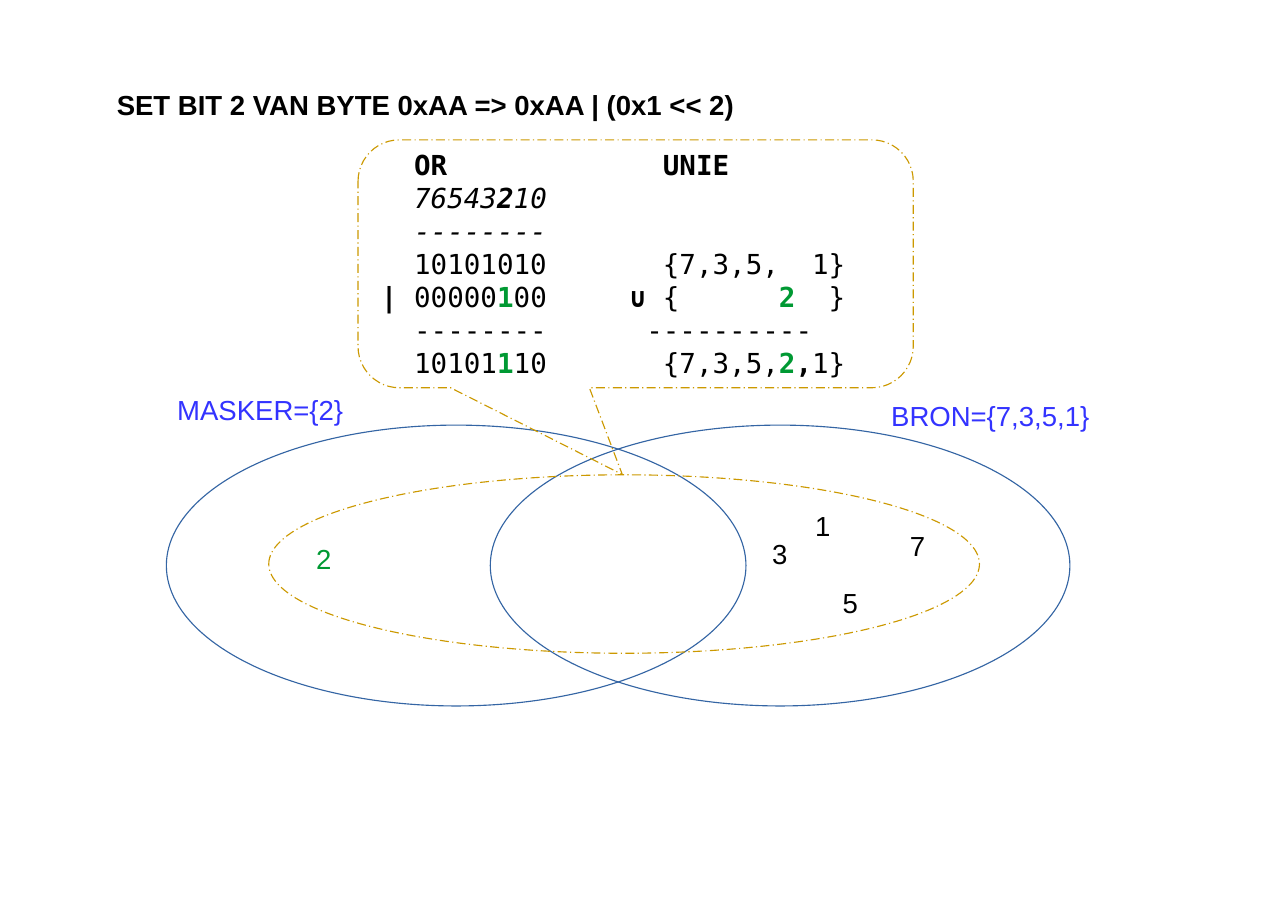
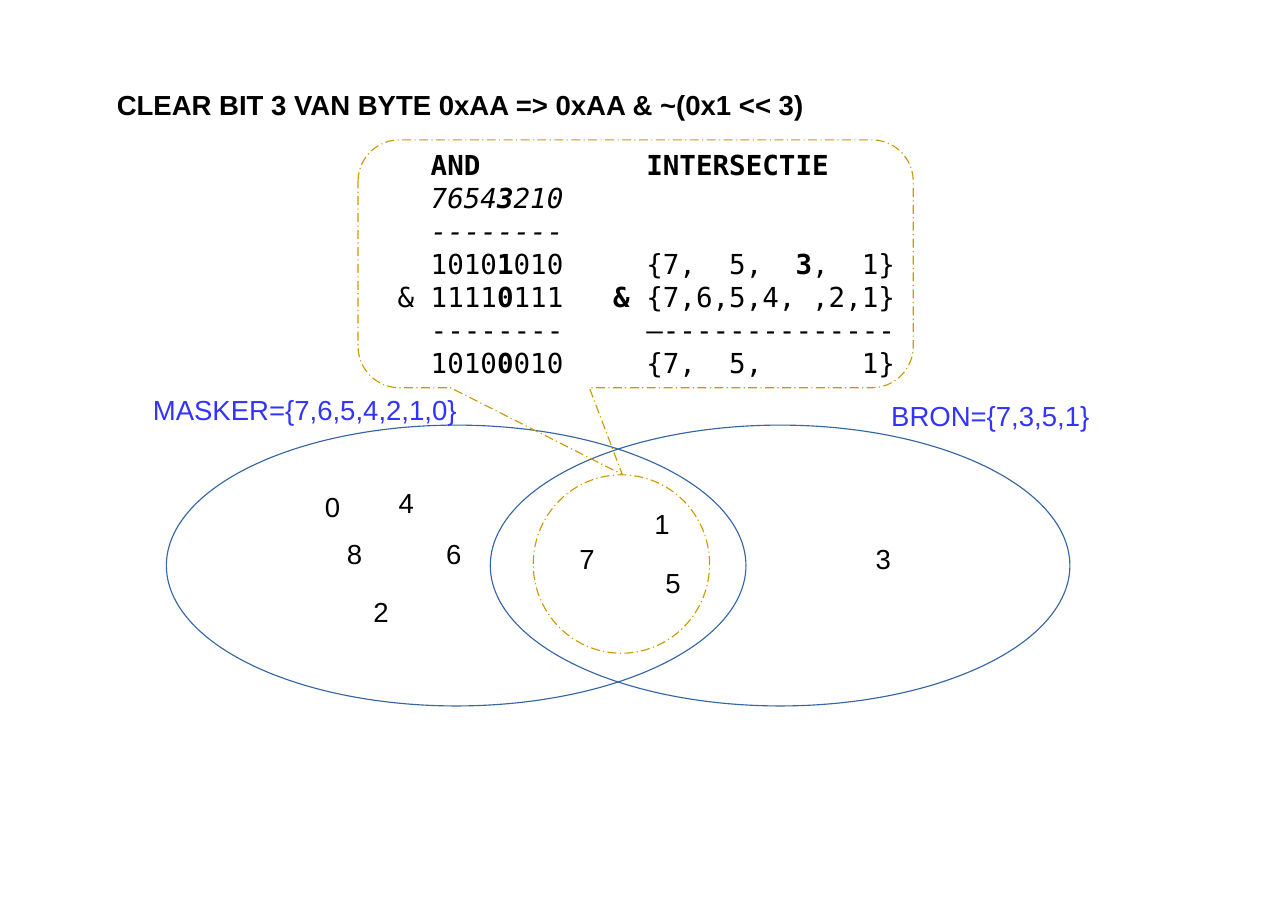
"""Two slides that set and clear a bit, each as a bit sum and as a set diagram."""
from lxml import etree
from pptx import Presentation
from pptx.dml.color import RGBColor
from pptx.enum.dml import MSO_LINE
from pptx.enum.shapes import MSO_SHAPE
from pptx.enum.text import MSO_ANCHOR, MSO_AUTO_SIZE, PP_ALIGN
from pptx.oxml.ns import qn
from pptx.util import Inches, Pt

OVAL = MSO_SHAPE.OVAL
CALLOUT = MSO_SHAPE.ROUNDED_RECTANGULAR_CALLOUT
DASH = MSO_LINE.LONG_DASH_DOT
TOP, MIDDLE = MSO_ANCHOR.TOP, MSO_ANCHOR.MIDDLE
LEFT = PP_ALIGN.LEFT
FIXED = MSO_AUTO_SIZE.NONE

HUES = {"ink": "000000", "green": "009933", "label": "3333FF",
        "set": "3465A4", "result": "CC9900"}
SANS = {"name": "Arial", "size": Pt(18)}
MONO = {"name": "DejaVu Sans Mono", "size": Pt(18)}
FRAME = {"word_wrap": True, "auto_size": FIXED, "vertical_anchor": TOP,
         "margin_left": Inches(0.1), "margin_right": Inches(0.1),
         "margin_top": Inches(0.05), "margin_bottom": Inches(0.05)}
CHAR = 0.602 * Pt(18)
SETS = (12.92, 38.07)

SLIDES = [
    {"title": "SET BIT 2 VAN BYTE 0xAA => 0xAA | (0x1 << 2)",
     "mask": ("MASKER={2}", 12.92),
     "result": (20.87, 55.18),
     "bit": "green",
     "sum": [
         {2: "*OR*", 17: "*UNIE*"},
         {2: "76543*2*10"},
         {2: "--------"},
         {2: "10101010", 17: "{7,3,5,", 26: "1}"},
         {0: "*|*", 2: "00000*1*00", 15: "*∪*", 17: "{", 24: "*2*", 27: "}"},
         {2: "--------", 16: "----------"},
         {2: "10101*1*10", 17: "{7,3,5,*2**,*1}"}],
     "items": [("5", 64.59, 63.72, "ink"), ("1", 62.45, 55.26, "ink"),
               ("2", 23.7, 58.89, "green"), ("7", 69.8, 57.44, "ink"),
               ("3", 59.11, 58.4, "ink")]},
    {"title": "CLEAR BIT 3 VAN BYTE 0xAA => 0xAA & ~(0x1 << 3)",
     "mask": ("MASKER={7,6,5,4,2,1,0}", 11.03),
     "result": (41.4, 13.69),
     "bit": "ink",
     "sum": [
         {3: "*AND*", 16: "*INTERSECTIE*"},
         {3: "7654*3*210"},
         {3: "--------"},
         {3: "1010*1*010", 16: "{7,", 21: "5,", 25: "*3*,", 29: "1}"},
         {1: "&", 3: "1111*0*111", 14: "*&*", 16: "{7,6,5,4, ,2,1}"},
         {3: "--------", 16: "–--------------"},
         {3: "1010*0*010", 16: "{7,", 21: "5,", 29: "1}"}],
     "items": [("5", 50.81, 61.55, "ink"), ("1", 49.96, 55.02, "ink"),
               ("3", 67.15, 58.89, "ink"), ("7", 44.14, 58.89, "ink"),
               ("2", 28.14, 64.69, "ink"), ("6", 33.79, 58.4, "ink"),
               ("8", 26.09, 58.4, "ink"), ("4", 30.11, 52.72, "ink"),
               ("0", 24.38, 53.2, "ink")]},
]

deck = Presentation()
deck.slide_width, deck.slide_height = Inches(11.69), Inches(8.27)


def area(left, top, width, height):
    """Turn percentages of the slide into lengths."""
    wide, high = deck.slide_width / 100, deck.slide_height / 100
    return [round(v) for v in (left * wide, top * high, width * wide, height * high)]


def style(part, form, hue=None):
    """Set attributes from a dict, and a font colour if one is named."""
    for key, value in form.items():
        setattr(part, key, value)
    if hue:
        part.color.rgb = RGBColor.from_string(HUES[hue])


for data in SLIDES:
    slide = deck.slides.add_slide(deck.slide_layouts[5])
    shapes = slide.shapes

    title = shapes.title
    title.left, title.top, title.width, title.height = area(8.21, 9.07, 58.17, 7.98)
    style(title.text_frame, FRAME)
    title.text_frame.text = data["title"]
    line = title.text_frame.paragraphs[0]
    line.alignment = LEFT
    style(line.runs[0].font, {**SANS, "bold": True}, "ink")

    start, width = data["result"]
    forms = [(OVAL, (left, 46.67, 45, 30.83), "set") for left in SETS]
    forms += [(OVAL, (start, 52.12, width, 19.59), "result"),
              (CALLOUT, (27.8, 15.36, 43.11, 27.21), "result")]
    for kind, place, hue in forms:
        shape = shapes.add_shape(kind, *area(*place))
        shape.shadow.inherit = False
        shape.fill.background()
        shape.line.color.rgb = RGBColor.from_string(HUES[hue])
        shape.line.width = 0
        if hue == "result":
            shape.line.dash_style = DASH

    for spot, value in enumerate((-0.024, 0.85, 0.167)):
        shape.adjustments[spot] = value
    frame = shape.text_frame
    style(frame, {**FRAME, "vertical_anchor": MIDDLE, "margin_right": 0})
    for row, cells in enumerate(data["sum"]):
        line = frame.paragraphs[0] if row == 0 else frame.add_paragraph()
        line.alignment = LEFT
        tabs = etree.SubElement(line._p.get_or_add_pPr(), qn("a:tabLst"))
        for col, text in cells.items():
            if col:
                etree.SubElement(tabs, qn("a:tab"), pos=str(round(col * CHAR)), algn="l")
                text = "\t" + text
            for turn, part in enumerate(text.split("*")):
                if part:
                    bold = turn % 2 == 1
                    hue = data["bit"] if bold and row > 2 and part.isdigit() else "ink"
                    run = line.add_run()
                    run.text = part
                    style(run.font, {**MONO, "bold": bold, "italic": row in (1, 2)}, hue)

    mask, left = data["mask"]
    notes = [(mask, (left, 42.56, 28, 5), "label"),
             ("BRON={7,3,5,1}", (68.35, 43.17, 20, 5), "label")]
    notes += [(text, (x, y, 5.13, 7), hue) for text, x, y, hue in data["items"]]
    for text, place, hue in notes:
        frame = shapes.add_textbox(*area(*place)).text_frame
        style(frame, FRAME)
        frame.text = text
        style(frame.paragraphs[0].runs[0].font, SANS, hue)

deck.save("out.pptx")
